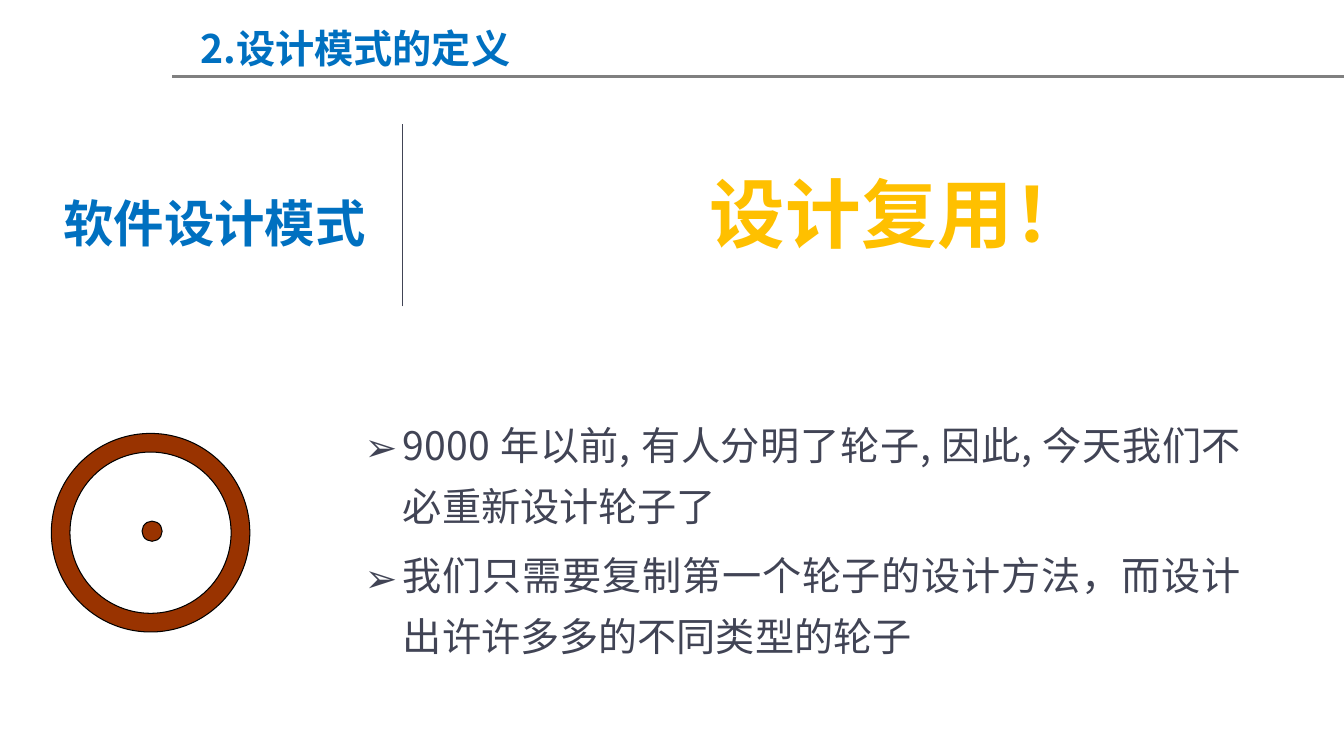
from lxml.etree import SubElement
from pptx import Presentation
from pptx.dml.color import RGBColor
from pptx.enum.shapes import MSO_CONNECTOR, MSO_SHAPE
from pptx.enum.text import MSO_ANCHOR, MSO_AUTO_SIZE, PP_ALIGN
from pptx.oxml.ns import qn
from pptx.util import Inches, Pt

CJK_FONT = "Noto Sans CJK SC"
BLUE, GOLD, INK, GRAY = "0070C0", "FFC000", "414455", "808080"
BROWN, BLACK = "993300", "000000"
WHEEL_POINTS = [
    "9000 年以前, 有人分明了轮子, 因此, 今天我们不必重新设计轮子了",
    "我们只需要复制第一个轮子的设计方法，而设计出许许多多的不同类型的轮子",
]


def color(value):
    """Turn a hex string into a colour."""
    return RGBColor.from_string(value)


def apply(target, values):
    """Set each attribute in a dict of format values."""
    for name, value in values.items():
        setattr(target, name, value)


def place(shape, box):
    """Move a shape to a box given in inches."""
    apply(shape, dict(zip(("left", "top", "width", "height"), map(Inches, box))))


def write(paragraph, text, size, hue, bold=False, font=CJK_FONT, align=PP_ALIGN.LEFT):
    """Fill a paragraph with one formatted run."""
    paragraph.alignment = align
    run = paragraph.add_run()
    run.text = text
    apply(run.font, {"size": Pt(size), "bold": bold, "name": font})
    run.font.color.rgb = color(hue)
    SubElement(run.font._element, qn("a:ea"), typeface=CJK_FONT)
    return run


def set_frame(frame, anchor=MSO_ANCHOR.MIDDLE, wrap=True):
    """Fix the wrapping and anchoring of a text frame."""
    apply(frame, {"word_wrap": wrap, "auto_size": MSO_AUTO_SIZE.NONE,
                  "vertical_anchor": anchor})


def add_rule(slide, start, end, hue, width):
    """Draw a straight line between two points."""
    rule = slide.shapes.add_connector(
        MSO_CONNECTOR.STRAIGHT, *map(Inches, (*start, *end)))
    rule.line.color.rgb = color(hue)
    rule.line.width = Pt(width)
    SubElement(rule._element.spPr, qn("a:effectLst"))


def add_header(slide, box):
    """Place the slide title with the rule below it."""
    left, top, width, height = box
    heading = slide.shapes.title
    place(heading, (left + 0.18, top, 4.46, height))
    set_frame(heading.text_frame)
    write(heading.text_frame.paragraphs[0], "2.设计模式的定义", 28, BLUE, True)
    bottom = top + height
    add_rule(slide, (left, bottom), (left + width, bottom), GRAY, 2)


def add_label(slide, box, text, wrap=True, **style):
    """Place a one-line bold label."""
    frame = slide.shapes.add_textbox(*map(Inches, box)).text_frame
    set_frame(frame, wrap=wrap)
    return write(frame.paragraphs[0], text, bold=True, **style)


def add_statement(slide, box):
    """Place the topic, the divider and the key message."""
    left, top, _, height = box
    divider = left + 3.46
    add_rule(slide, (divider, top + height), (divider, top), INK, 0.25)
    add_label(slide, (left, top + 0.62, 3.31, 0.71), "软件设计模式",
              size=36, hue=BLUE)
    message = add_label(slide, (left + 6.38, top + 0.37, 4.04, 1.01), "设计复用！",
                        wrap=False, size=54, hue=GOLD, font="Calibri",
                        align=PP_ALIGN.CENTER)
    message.font._element.set("spc", "50")


def add_wheel(slide, box):
    """Draw a wheel rim with its hub."""
    left, top, size, _ = box
    hub = (left + 0.9, top + 0.87, 0.2, 0.2)
    for kind, part_box in ((MSO_SHAPE.DONUT, box), (MSO_SHAPE.OVAL, hub)):
        part = slide.shapes.add_shape(kind, *map(Inches, part_box))
        part.shadow.inherit = False
        part.fill.solid()
        part.fill.fore_color.rgb = color(BROWN)
        part.line.color.rgb = color(BLACK)
        part.line.width = Pt(0.75)
        if kind == MSO_SHAPE.DONUT:
            part.adjustments[0] = 0.185 / size


def add_points(slide, box):
    """Fill the body placeholder with the arrow list."""
    body = slide.placeholders[1]
    place(body, box)
    frame = body.text_frame
    set_frame(frame, MSO_ANCHOR.TOP)
    for index, text in enumerate(WHEEL_POINTS):
        point = frame.add_paragraph() if index else frame.paragraphs[0]
        apply(point, {"line_spacing": 1.3, "space_before": Pt(5.6 * index)})
        properties = point._p.get_or_add_pPr()
        for name, inches in {"marL": 0.38, "indent": -0.38}.items():
            properties.set(name, str(int(Inches(inches))))
        SubElement(properties, qn("a:buFont"), typeface=CJK_FONT)
        SubElement(properties, qn("a:buChar"), char="➢")
        write(point, text, 28, INK, align=PP_ALIGN.JUSTIFY)


def main():
    """Build the slide and save it."""
    deck = Presentation()
    apply(deck, {"slide_width": Inches(13.34), "slide_height": Inches(7.5)})
    slide = deck.slides.add_slide(deck.slide_layouts[1])
    add_header(slide, (1.71, 0.19, 11.63, 0.57))
    add_statement(slide, (0.53, 1.23, 11.89, 1.81))
    add_wheel(slide, (0.51, 4.3, 1.97, 1.97))
    add_points(slide, (3.52, 3.99, 8.9, 2.44))
    deck.save("out.pptx")


if __name__ == "__main__":
    main()
